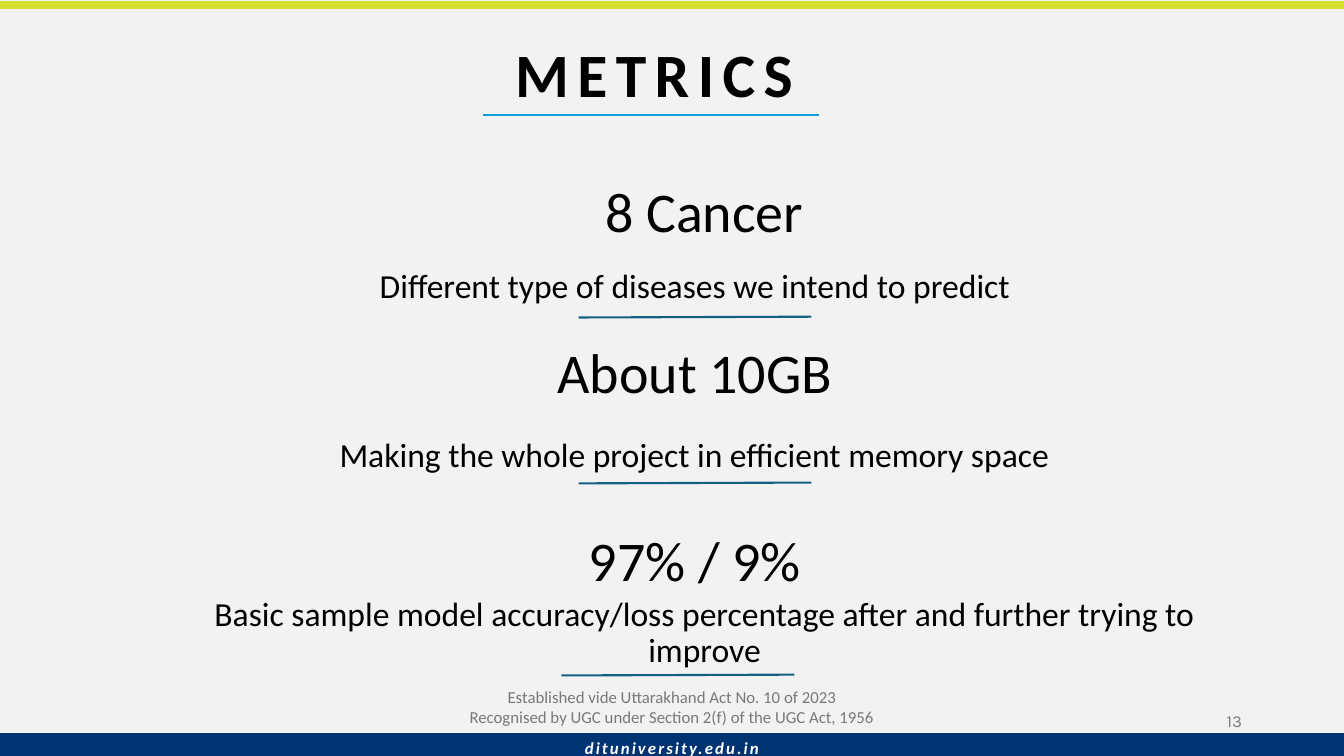
from pptx import Presentation
from pptx.dml.color import RGBColor
from pptx.enum import shapes, text
from pptx.oxml.ns import qn
from pptx.util import Cm, Pt
from lxml import etree

BACK = RGBColor(0xF2, 0xF2, 0xF2)
NAVY = RGBColor(0x00, 0x33, 0x71)
LIME = RGBColor(0xD5, 0xDE, 0x2F)
TEAL = RGBColor(0x15, 0x60, 0x82)
SKY = RGBColor(0x0F, 0x9E, 0xD5)
GREY = RGBColor(0x79, 0x79, 0x79)
BLACK = RGBColor(0, 0, 0)
WHITE = RGBColor(0xFF, 0xFF, 0xFF)

WIDTH, HEIGHT = 33.87, 19.05
RULE_WIDTH = 5.87
CENTER, LEFT, RIGHT = text.PP_ALIGN.CENTER, text.PP_ALIGN.LEFT, text.PP_ALIGN.RIGHT
TOP, MIDDLE, BOTTOM = (text.MSO_ANCHOR.TOP, text.MSO_ANCHOR.MIDDLE,
                       text.MSO_ANCHOR.BOTTOM)

METRICS = [
    ("8 Cancer", (3.68, 4.11, 28.14, 2.31),
     "Different type of diseases we intend to predict",
     (8.38, 6.53, 18.26, 1.24), (14.58, 8)),
    ("About 10GB", (8.38, 8.15, 18.26, 2.31),
     "Making the whole project in efficient memory space",
     (5.89, 10.8, 23.22, 1.24), (14.58, 12.18)),
    ("97% / 9%", (8.38, 12.9, 18.26, 2.31),
     "Basic sample model accuracy/loss percentage after and further trying to improve",
     (4.04, 14.81, 27.43, 2.54), (14.15, 17.02)),
]


def write(p, words, size=12, color=GREY, font="Calibri", bold=False,
          italic=False, align=CENTER, spacing=1.0, tracking=0):
    p.alignment = align
    p.line_spacing = spacing
    r = p.add_run()
    r.text = words
    r.font.name = font
    r.font.size = Pt(size)
    r.font.bold = bold
    r.font.italic = italic
    r.font.color.rgb = color
    if tracking:
        r._r.get_or_add_rPr().set("spc", str(int(tracking * 100)))


def add_box(s, box, anchor, inset=None):
    sp = s.shapes.add_textbox(*map(Cm, box))
    tf = sp.text_frame
    tf.word_wrap = True
    tf.vertical_anchor = anchor
    if inset is not None:
        tf.margin_left = tf.margin_right = Cm(inset)
        tf.margin_top = tf.margin_bottom = Cm(inset)
    return tf


def add_line(s, x1, y1, x2, y2, color, width):
    ln = s.shapes.add_connector(shapes.MSO_CONNECTOR.STRAIGHT,
                                Cm(x1), Cm(y1), Cm(x2), Cm(y2))
    ln.line.color.rgb = color
    ln.line.width = Pt(width)
    etree.SubElement(ln._element.spPr, qn("a:effectLst"))


def add_title(s):
    sp = s.shapes.title
    sp.left, sp.top, sp.width, sp.height = map(Cm, (12.73, 0.33, 10.67, 2.57))
    tf = sp.text_frame
    tf.auto_size = text.MSO_AUTO_SIZE.NONE
    tf.vertical_anchor = BOTTOM
    write(tf.paragraphs[0], "METRICS", size=44, color=BLACK, bold=True,
          align=LEFT, tracking=6)
    add_line(s, 12.17, 2.9, 20.65, 2.9, SKY, 1.5)


def add_footer(s):
    add_line(s, 0, 18.8, WIDTH, 18.8, NAVY, 18.5)
    tf = add_box(s, (0, 17.35, WIDTH, 1.7), MIDDLE)
    write(tf.paragraphs[0], "Established vide Uttarakhand Act No. 10 of 2023")
    write(tf.add_paragraph(),
          "Recognised by UGC under Section 2(f) of the UGC Act, 1956")
    write(tf.add_paragraph(), "dituniversity.edu.in", color=WHITE, bold=True,
          italic=True, spacing=1.5, tracking=1.5)
    tf = add_box(s, (23.93, 17.65, 7.62, 1.02), MIDDLE)
    write(tf.paragraphs[0], "13", font="Karla", align=RIGHT)


def add_metric(s, value, value_box, label, label_box, rule):
    tf = add_box(s, value_box, BOTTOM, 0.25)
    write(tf.paragraphs[0], value, size=40, color=BLACK, spacing=0.9)
    tf = add_box(s, label_box, TOP, 0.25)
    write(tf.paragraphs[0], label, size=24, color=BLACK, spacing=0.9)
    x, y = rule
    add_line(s, x, y, x + RULE_WIDTH, y - 0.02, TEAL, 1.5)


def main():
    prs = Presentation()
    prs.slide_width, prs.slide_height = Cm(WIDTH), Cm(HEIGHT)
    s = prs.slides.add_slide(prs.slide_layouts[5])
    s.background.fill.solid()
    s.background.fill.fore_color.rgb = BACK
    add_footer(s)
    add_line(s, 0, 0.13, WIDTH, 0.13, LIME, 6)
    for metric in METRICS:
        add_metric(s, *metric)
    add_title(s)
    prs.save("out.pptx")


if __name__ == "__main__":
    main()
